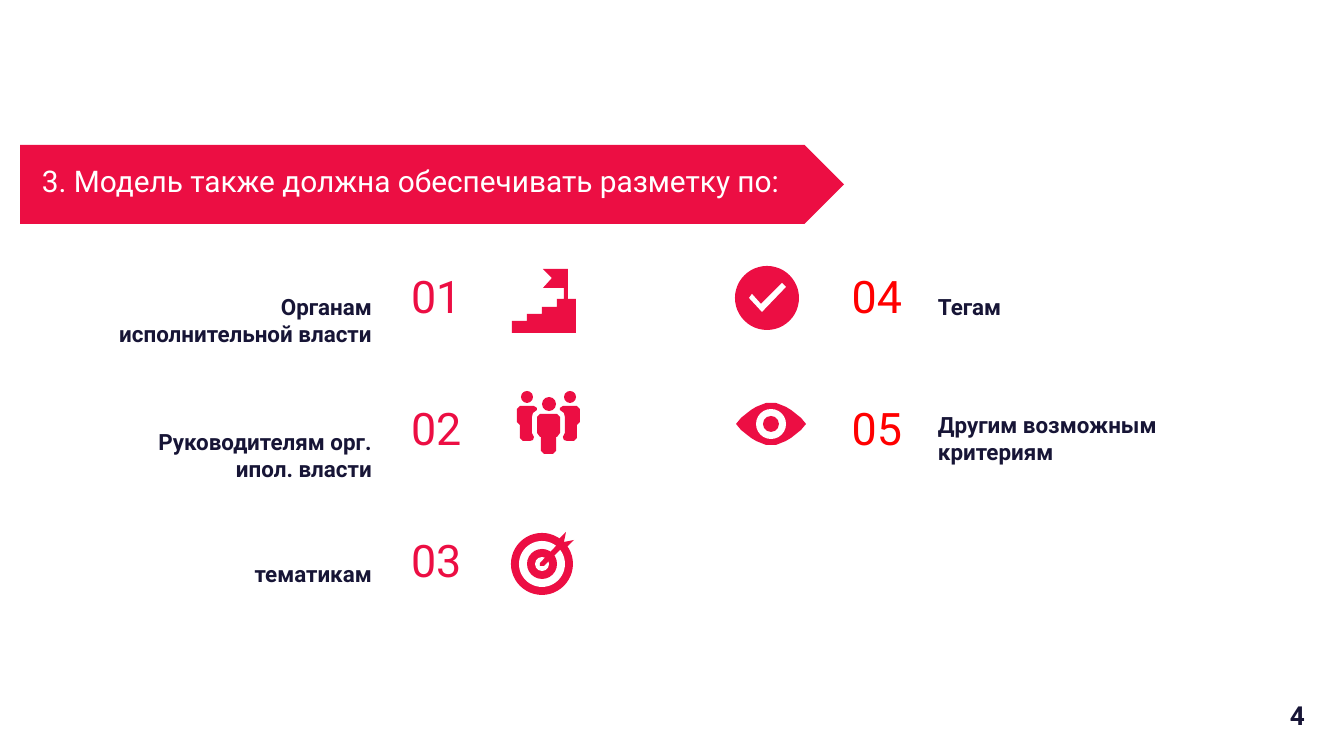
from dataclasses import dataclass

from pptx import Presentation
from pptx import util as u
from pptx.dml import color
from pptx.enum import shapes, text

EMU_PER_PX = 914400 / 134.4
COLORS = {"crimson": "EC0E43", "red": "FF0000", "navy": "171536", "white": "FFFFFF"}
FONT = "Roboto"
INSET = 13
ROW_TOP, ROW_PITCH = 247, 132
NUMBER_SIZE, CAPTION_SIZE = (173, 89), 74
LEFT, RIGHT = text.PP_ALIGN.LEFT, text.PP_ALIGN.RIGHT
TOP, BOTTOM = text.MSO_ANCHOR.TOP, text.MSO_ANCHOR.BOTTOM
Points = list[tuple[int, int]]


@dataclass(frozen=True)
class Box:
    left: int
    top: int
    width: int
    height: int


@dataclass(frozen=True)
class Style:
    size: int
    color: str
    bold: bool = False
    align: text.PP_ALIGN = LEFT
    anchor: text.MSO_ANCHOR = TOP


@dataclass(frozen=True)
class Item:
    number: str
    caption: str
    row: int
    caption_top: int


@dataclass(frozen=True)
class Column:
    number_left: int
    number_style: Style
    caption_left: int
    caption_width: int
    caption_style: Style
    items: tuple[Item, ...]


@dataclass(frozen=True)
class Disc:
    center_x: int
    center_y: int
    radius: int
    color: str = "crimson"


COLUMNS = (
    Column(398, Style(24, "crimson", anchor=BOTTOM),
           89, 296, Style(12, "navy", True, RIGHT), (
               Item("01", "Органам исполнительной власти", 0, 280),
               Item("02", "Руководителям орг. ипол. власти", 1, 415),
               Item("03", "тематикам", 2, 547))),
    Column(742, Style(24, "red", align=RIGHT, anchor=BOTTOM),
           925, 278, Style(12, "navy", True), (
               Item("04", "Тегам", 0, 280),
               Item("05", "Другим возможным критериям", 1, 398))),
)
TARGET = [Disc(542, 564, radius, fill) for radius, fill in
          ((31, "crimson"), (23, "white"), (15, "crimson"), (7, "white"))]
ARROW = [(540, 563), (556, 546), (559, 539), (566, 532), (564, 542),
         (574, 540), (567, 547), (560, 550), (544, 566), (540, 566)]
CHECK_MARK = [(749, 298), (752, 294), (761, 304), (782, 283), (786, 287), (762, 312)]
STAIRS_WITH_FLAG = [(543, 269), (552, 278), (543, 288), (564, 288), (564, 299),
                    (557, 299), (557, 307), (542, 307), (542, 314), (527, 314),
                    (527, 321), (512, 321), (512, 333), (576, 333), (576, 299),
                    (568, 299), (568, 269)]
PEOPLE_AXIS_DOUBLED = 1097
HEADS = [Disc(527, 397, 6), Disc(570, 397, 6), Disc(549, 404, 7)]
SIDE_PERSON = [(517, 409), (520, 406), (534, 406), (537, 408), (537, 410),
               (533, 413), (532, 417), (532, 433), (534, 437), (533, 440),
               (530, 441), (523, 441), (520, 438), (520, 425), (517, 422)]
FRONT_PERSON_HALF = [(540, 414), (537, 417), (537, 433), (540, 437), (541, 437),
                     (541, 451), (544, 454)]
EYE_CENTER, EYE_HALF_WIDTH, EYE_HALF_HEIGHT = (771, 424), 35, 21


def px(value: int) -> u.Emu:
    return u.Emu(round(value * EMU_PER_PX))


def place(box: Box) -> list[u.Emu]:
    return [px(value) for value in (box.left, box.top, box.width, box.height)]


def rgb(name: str) -> color.RGBColor:
    return color.RGBColor.from_string(COLORS[name])


def paint(shape, fill: str) -> None:
    shape.fill.solid()
    shape.fill.fore_color.rgb = rgb(fill)
    shape.line.fill.background()
    shape.shadow.inherit = False


def add_preset(slide, preset: shapes.MSO_SHAPE, box: Box, fill: str):
    shape = slide.shapes.add_shape(preset, *place(box))
    paint(shape, fill)
    return shape


def add_disc(slide, disc: Disc) -> None:
    diameter = disc.radius * 2
    box = Box(disc.center_x - disc.radius, disc.center_y - disc.radius, diameter, diameter)
    add_preset(slide, shapes.MSO_SHAPE.OVAL, box, disc.color)


def add_polygon(slide, points: Points, fill: str = "crimson") -> None:
    builder = slide.shapes.build_freeform(*points[0], scale=EMU_PER_PX)
    builder.add_line_segments(points[1:], close=True)
    paint(builder.convert_to_shape(), fill)


def add_text(slide, content: str, box: Box, style: Style, inset: int = INSET):
    shape = slide.shapes.add_textbox(*place(box))
    frame = shape.text_frame
    frame.word_wrap = True
    frame.vertical_anchor = style.anchor
    frame.margin_left = frame.margin_right = px(inset)
    frame.margin_top = frame.margin_bottom = px(inset)
    paragraph = frame.paragraphs[0]
    paragraph.alignment = style.align
    run = paragraph.add_run()
    run.text = content
    run.font.name = FONT
    run.font.size = u.Pt(style.size)
    run.font.bold = style.bold
    run.font.color.rgb = rgb(style.color)
    return shape


def mirror(points: Points) -> Points:
    return [(PEOPLE_AXIS_DOUBLED - x, y) for x, y in points]


def eye_outline() -> Points:
    center_x, center_y = EYE_CENTER
    steps = range(-EYE_HALF_WIDTH, EYE_HALF_WIDTH + 1, 5)
    upper = [(center_x + step,
              center_y - round(EYE_HALF_HEIGHT * (1 - (step / EYE_HALF_WIDTH) ** 2)))
             for step in steps]
    lower = [(x, 2 * center_y - y) for x, y in reversed(upper[1:-1])]
    return upper + lower


def add_icons(slide) -> None:
    for disc in TARGET:
        add_disc(slide, disc)
    add_polygon(slide, ARROW)
    add_disc(slide, Disc(767, 298, 32))
    add_polygon(slide, CHECK_MARK, "white")
    for head in HEADS:
        add_disc(slide, head)
    front_person = FRONT_PERSON_HALF + mirror(FRONT_PERSON_HALF)[::-1]
    for body in (SIDE_PERSON, mirror(SIDE_PERSON), front_person):
        add_polygon(slide, body)
    add_polygon(slide, STAIRS_WITH_FLAG)
    add_polygon(slide, eye_outline())
    add_disc(slide, Disc(*EYE_CENTER, 15, "white"))
    add_disc(slide, Disc(*EYE_CENTER, 8))


def add_column(slide, column: Column) -> None:
    for item in column.items:
        number_top = ROW_TOP + item.row * ROW_PITCH
        add_text(slide, item.caption,
                 Box(column.caption_left, item.caption_top, column.caption_width, CAPTION_SIZE),
                 column.caption_style)
        add_text(slide, item.number, Box(column.number_left, number_top, *NUMBER_SIZE),
                 column.number_style)


def main() -> None:
    presentation = Presentation()
    presentation.slide_width, presentation.slide_height = px(1344), px(756)
    slide = presentation.slides.add_slide(presentation.slide_layouts[6])
    for column in COLUMNS:
        add_column(slide, column)
    add_icons(slide)
    add_text(slide, "4", Box(1290, 699, 39, 32), Style(14, "navy", True), inset=0)
    add_preset(slide, shapes.MSO_SHAPE.PENTAGON, Box(20, 145, 824, 79), "crimson")
    add_text(slide, "3. Модель также должна обеспечивать разметку по:",
             Box(29, 124, 790, 88), Style(16, "white", anchor=BOTTOM))
    presentation.save("out.pptx")


if __name__ == "__main__":
    main()
